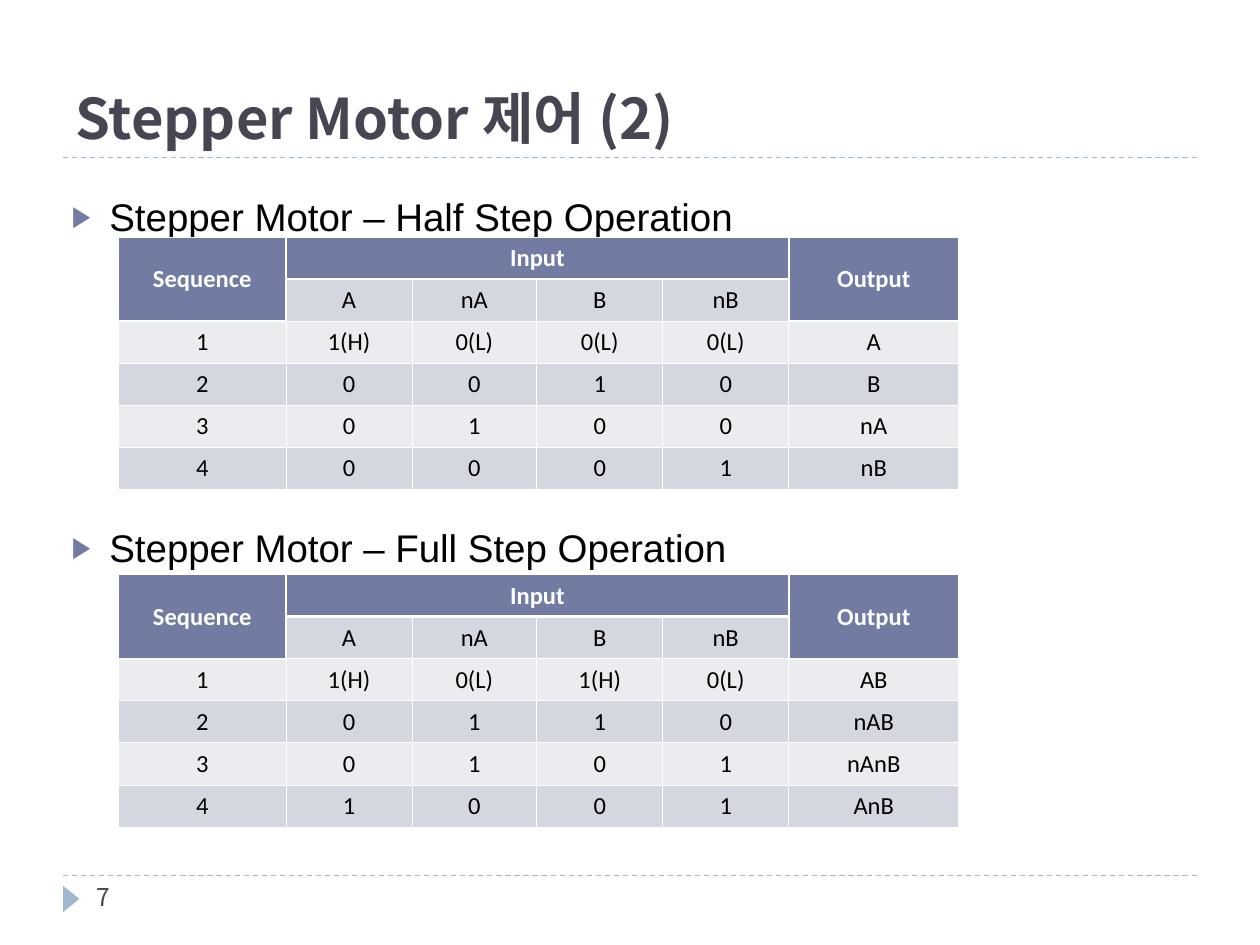
"""Build the slide on half step and full step control of a stepper motor."""
import pptx
import pptx.dml.color
import pptx.enum.dml
import pptx.enum.shapes
import pptx.enum.text
import pptx.oxml
import pptx.oxml.ns
import pptx.util
from dataclasses import dataclass
from pptx.util import Inches


@dataclass(frozen=True)
class Theme:
    ink: str = "464653"
    black: str = "000000"
    white: str = "FFFFFF"
    header: str = "727CA3"
    accent: str = "9FB8CD"
    bands: tuple = ("EBECF0", "D5D7E0")
    heading_font: str = "Noto Sans CJK KR"
    body_font: str = "Arial"
    table_font: str = "Calibri"
    title_size: int = 32
    body_size: int = 22
    small_size: int = 14
    thin: float = 0.45
    thick: float = 1.47


theme = Theme()
color = pptx.dml.color.RGBColor.from_string
align = pptx.enum.text.PP_ALIGN
anchor = pptx.enum.text.MSO_ANCHOR
namespace = pptx.oxml.ns.nsdecls("a")


def write(para, text, font, size, ink, bold=False, alignment=align.LEFT):
    para.alignment = alignment
    span = para.add_run()
    span.text = text
    span.font.name = font
    span.font.size = pptx.util.Pt(size)
    span.font.bold = bold
    span.font.color.rgb = color(ink)
    span.font._element.append(pptx.oxml.parse_xml(f'<a:ea {namespace} typeface="{font}"/>'))


def add_border(cell, side, width):
    cell._tc.get_or_add_tcPr().append(pptx.oxml.parse_xml(
        f'<a:ln{side} {namespace} w="{pptx.util.Pt(width)}"><a:solidFill>'
        f'<a:srgbClr val="{theme.white}"/></a:solidFill></a:ln{side}>'))


deck = pptx.Presentation()
deck.slide_width, deck.slide_height = Inches(10), Inches(7.5)
page = deck.slides.add_slide(deck.slide_layouts[5])

title = page.shapes.title
title.left, title.top, title.width, title.height = Inches(0.5), Inches(0.17), Inches(9), Inches(1.08)
title.text_frame.vertical_anchor = anchor.BOTTOM
write(title.text_frame.paragraphs[0], "Stepper Motor 제어 (2)", font=theme.heading_font,
      size=theme.title_size, ink=theme.ink, bold=True)

for y in (6.95, 1.25):
    rule = page.shapes.add_connector(pptx.enum.shapes.MSO_CONNECTOR.STRAIGHT,
                                     Inches(0.5), Inches(y), Inches(9.5), Inches(y))
    rule.line.color.rgb = color(theme.accent)
    rule.line.width = pptx.util.Pt(0.75)
    rule.line.dash_style = pptx.enum.dml.MSO_LINE.DASH
    rule._element.spPr.append(pptx.oxml.parse_xml(f"<a:effectLst {namespace}/>"))

marker = page.shapes.add_shape(pptx.enum.shapes.MSO_SHAPE.ISOSCELES_TRIANGLE,
                               Inches(0.46), Inches(7.07), Inches(0.21), Inches(0.13))
marker.rotation = 90
marker.shadow.inherit = False
marker.fill.solid()
marker.fill.fore_color.rgb = color(theme.accent)
marker.line.fill.background()

body = page.shapes.add_textbox(Inches(0.47), Inches(1.33), Inches(9), Inches(5.4)).text_frame
body.word_wrap = True
body.margin_top = Inches(0.13)
headings = (("Stepper Motor – Half Step Operation", 0), ("Stepper Motor – Full Step Operation", 157.6))
for index, (heading, gap) in enumerate(headings):
    para = body.add_paragraph() if index else body.paragraphs[0]
    para.line_spacing = 1.2
    para.space_before = pptx.util.Pt(gap)
    properties = para._p.get_or_add_pPr()
    properties.set("marL", str(Inches(0.3)))
    properties.set("indent", str(Inches(-0.3)))
    for bullet in (f'<a:buClr {namespace}><a:srgbClr val="{theme.header}"/></a:buClr>',
                   f'<a:buSzPct {namespace} val="76000"/>',
                   f'<a:buFont {namespace} typeface="{theme.body_font}"/>',
                   f'<a:buChar {namespace} char="▶"/>'):
        properties.append(pptx.oxml.parse_xml(bullet))
    write(para, heading, font=theme.body_font, size=theme.body_size, ink=theme.black)

number = page.shapes.add_textbox(Inches(0.67), Inches(6.95), Inches(2.17), Inches(0.4)).text_frame
number.word_wrap = True
write(number.paragraphs[0], "7", font=theme.heading_font, size=theme.small_size, ink=theme.ink)

header_rows = [("Sequence", "Input", "", "", "", "Output"), ("", "A", "nA", "B", "nB", "")]
half_step = [("1", "1(H)", "0(L)", "0(L)", "0(L)", "A"),
             ("2", "0", "0", "1", "0", "B"),
             ("3", "0", "1", "0", "0", "nA"),
             ("4", "0", "0", "0", "1", "nB")]
full_step = [("1", "1(H)", "0(L)", "1(H)", "0(L)", "AB"),
             ("2", "0", "1", "1", "0", "nAB"),
             ("3", "0", "1", "0", "1", "nAnB"),
             ("4", "1", "0", "0", "1", "AnB")]
column_widths = (1.33, 1, 0.99, 1, 1, 1.35)

for top, steps in ((1.88, half_step), (4.56, full_step)):
    rows = header_rows + steps
    table = page.shapes.add_table(len(rows), len(column_widths), Inches(0.94), Inches(top),
                                  Inches(sum(column_widths)), Inches(2)).table
    for column, width in zip(table.columns, column_widths):
        column.width = Inches(width)
    for first, last in (((0, 0), (1, 0)), ((0, 1), (0, 4)), ((0, 5), (1, 5))):
        table.cell(*first).merge(table.cell(*last))
    for row, texts in enumerate(rows):
        for column, text in enumerate(texts):
            cell = table.cell(row, column)
            if cell.is_spanned:
                continue
            height = cell.span_height if cell.is_merge_origin else 1
            width = cell.span_width if cell.is_merge_origin else 1
            is_header = row == 0
            header_bottom = 2 if column in (0, 5) else 1
            edges = {"L": row < 2 and column in (1, 5),
                     "R": row < 2 and column + width in (1, 5),
                     "T": row == header_bottom,
                     "B": row + height == header_bottom}
            for side, is_thick in edges.items():
                add_border(cell, side, theme.thick if is_thick else theme.thin)
            cell.fill.solid()
            cell.fill.fore_color.rgb = color(theme.header if is_header else theme.bands[row % 2])
            cell.vertical_anchor = anchor.MIDDLE if height > 1 else anchor.TOP
            write(cell.text_frame.paragraphs[0], text, font=theme.table_font, size=theme.small_size,
                  ink=theme.white if is_header else theme.black, bold=is_header, alignment=align.CENTER)

deck.save("out.pptx")
